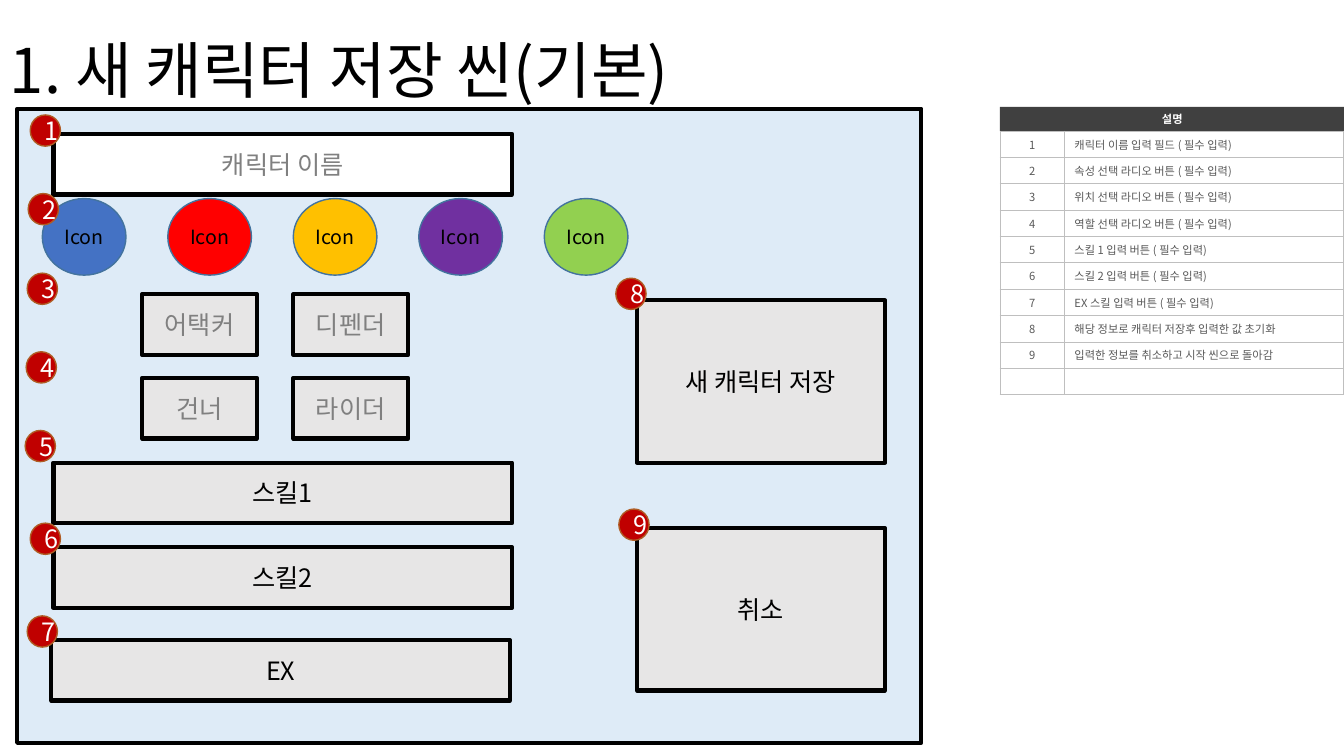
from dataclasses import dataclass
from itertools import product
from typing import Any, Optional

from lxml.etree import SubElement
from pptx import Presentation
from pptx.dml.color import RGBColor
from pptx.enum.shapes import MSO_SHAPE
from pptx.enum.text import MSO_ANCHOR, PP_ALIGN
from pptx.oxml.ns import qn
from pptx.util import Emu, Inches, Pt

# The slide is a grid of 160 columns by 90 rows of square cells.
CELL = Inches(13.333) / 160


@dataclass(frozen=True)
class Theme:
    """Colours and type sizes of the slide."""
    font: str = "Noto Sans CJK KR"
    black: str = "000000"
    white: str = "FFFFFF"
    panel: str = "DEEBF7"
    button: str = "E7E6E6"
    hint: str = "808080"
    badge: str = "C00000"
    badge_edge: str = "AF5C24"
    icon_edge: str = "43739E"
    header: str = "404040"
    note: str = "595959"
    grid: str = "BFBFBF"
    icons: tuple[str, ...] = ("4472C4", "FF0000", "FFC000", "7030A0", "92D050")
    title_size: int = 44
    body_size: int = 18
    icon_size: int = 14
    note_size: int = 8


@dataclass(frozen=True)
class Box:
    """Place in grid columns and rows."""
    left: float
    top: float
    width: float
    height: float

    def lengths(self) -> list[Emu]:
        """Return the place as slide lengths."""
        return [Emu(round(value * CELL))
                for value in (self.left, self.top, self.width, self.height)]


@dataclass(frozen=True)
class Style:
    """Look of one kind of shape."""
    fill: str
    edge: Optional[str]
    edge_width: float
    color: str
    size: int
    bold: bool = False
    geometry: MSO_SHAPE = MSO_SHAPE.RECTANGLE


THEME = Theme()
PANEL = Style(THEME.panel, THEME.black, 3, THEME.black, THEME.body_size)
BUTTON = Style(THEME.button, THEME.black, 3, THEME.black, THEME.body_size)
ROLE = Style(THEME.button, THEME.black, 3, THEME.hint, THEME.body_size)
NAME_FIELD = Style(THEME.white, THEME.black, 3, THEME.hint, THEME.body_size)
HEADER = Style(THEME.header, None, 0, THEME.white, THEME.note_size, True)
BADGE = Style(THEME.badge, THEME.badge_edge, 1, THEME.white, THEME.body_size,
              geometry=MSO_SHAPE.OVAL)

FIELDS = (
    ("캐릭터 이름", 6.36, 15.96, NAME_FIELD),
    ("스킬1", 6.36, 55.08, BUTTON),
    ("스킬2", 6.36, 65.16, BUTTON),
    ("EX", 6.12, 76.2, BUTTON),
)
ROLES = ("어택커", "디펜더", "건너", "라이더")
ACTIONS = (("새 캐릭터 저장", 35.76), ("취소", 62.88))
BADGES = ((3.6, 13.68), (3.36, 23.04), (3.24, 32.52), (3.12, 41.88), (3, 51.24),
          (3.6, 62.28), (3.24, 73.32), (73.32, 33.12), (73.68, 60.6))
REQUIRED = " ( 필수 입력)"
NOTES = (
    *(name + REQUIRED for name in (
        "캐릭터 이름 입력 필드", "속성 선택 라디오 버튼", "위치 선택 라디오 버튼",
        "역할 선택 라디오 버튼", "스킬 1 입력 버튼", "스킬 2 입력 버튼",
        "EX 스킬 입력 버튼")),
    "해당 정보로 캐릭터 저장후 입력한 값 초기화",
    "입력한 정보를 취소하고 시작 씬으로 돌아감",
    "",
)


def set_all(target: Any, values: dict[str, Any]) -> None:
    """Set each named attribute of the target."""
    for name, value in values.items():
        setattr(target, name, value)


def write(frame: Any, text: str, size: int, color: str, bold: bool = False,
          align: PP_ALIGN = PP_ALIGN.CENTER) -> None:
    """Write one formatted paragraph into a text frame."""
    paragraph = frame.paragraphs[0]
    paragraph.alignment = align
    if not text:
        SubElement(paragraph._p, qn("a:endParaRPr"), sz=str(size * 100))
        return
    run = paragraph.add_run()
    run.text = text
    set_all(run.font, {"name": THEME.font, "size": Pt(size), "bold": bold})
    run.font.color.rgb = RGBColor.from_string(color)
    SubElement(run.font._element, qn("a:ea"), typeface=THEME.font)


def add_box(slide: Any, box: Box, style: Style, text: str = "") -> Any:
    """Draw a filled shape with centred text."""
    shape = slide.shapes.add_shape(style.geometry, *box.lengths())
    shape.shadow.inherit = False
    shape.fill.solid()
    shape.fill.fore_color.rgb = RGBColor.from_string(style.fill)
    if style.edge:
        shape.line.color.rgb = RGBColor.from_string(style.edge)
        shape.line.width = Pt(style.edge_width)
    else:
        shape.line.fill.background()
    shape.text_frame.vertical_anchor = MSO_ANCHOR.MIDDLE
    if text:
        write(shape.text_frame, text, style.size, style.color, style.bold)
    return shape


def add_title(slide: Any, text: str) -> None:
    """Draw the slide title."""
    frame = slide.shapes.add_textbox(*Box(0, 0, 138, 17.4).lengths()).text_frame
    set_all(frame, {"word_wrap": True, "vertical_anchor": MSO_ANCHOR.MIDDLE})
    write(frame, text, THEME.title_size, THEME.black, align=PP_ALIGN.LEFT)
    frame.paragraphs[0].line_spacing = 0.9


def add_borders(cell: Any) -> None:
    """Give a table cell thin lines on its four sides."""
    properties = cell._tc.get_or_add_tcPr()
    for side in ("lnL", "lnR", "lnT", "lnB"):
        line = SubElement(properties, qn(f"a:{side}"), w=str(Pt(0.5)))
        fill = SubElement(line, qn("a:solidFill"))
        SubElement(fill, qn("a:srgbClr"), val=THEME.grid)


def add_notes_table(slide: Any) -> None:
    """Draw the numbered descriptions under their header."""
    header = add_box(slide, Box(119.04, 12.72, 41.04, 2.88), HEADER, "설명")
    header.text_frame.word_wrap = False
    row_height, widths = 3.14, (7.68, 33.24)
    box = Box(119.04, 15.6, sum(widths), row_height * len(NOTES))
    table = slide.shapes.add_table(len(NOTES), 2, *box.lengths()).table
    set_all(table, {"first_row": False, "horz_banding": False})
    for column, width in zip(table.columns, widths):
        column.width = Emu(round(width * CELL))
    for index, note in enumerate(NOTES):
        number = str(index + 1) if note else ""
        entries = ((number, PP_ALIGN.CENTER), (note, PP_ALIGN.LEFT))
        for column, (text, align) in enumerate(entries):
            cell = table.cell(index, column)
            add_borders(cell)
            cell.fill.background()
            cell.vertical_anchor = MSO_ANCHOR.MIDDLE
            write(cell.text_frame, text, THEME.note_size, THEME.note, align=align)


def add_scene(slide: Any) -> None:
    """Draw the character form with its fields, buttons and badges."""
    add_box(slide, Box(2.04, 12.96, 107.64, 75.48), PANEL)
    for text, left, top, style in FIELDS:
        add_box(slide, Box(left, top, 54.6, 7.2), style, text)
    for index, color in enumerate(THEME.icons):
        style = Style(color, THEME.icon_edge, 1, THEME.black, THEME.icon_size,
                      geometry=MSO_SHAPE.OVAL)
        add_box(slide, Box(5.04 + 14.94 * index, 23.64, 9.96, 9.12), style, "Icon")
    for text, (row, column) in zip(ROLES, product(range(2), repeat=2)):
        box = Box(16.92 + 18 * column, 35.04 + 9.96 * row, 13.68, 7.2)
        add_box(slide, box, ROLE, text)
    for text, top in ACTIONS:
        add_box(slide, Box(75.84, top, 29.52, 19.32), BUTTON, text)
    for number, (left, top) in enumerate(BADGES, start=1):
        add_box(slide, Box(left, top, 3.6, 3.72), BADGE, str(number))


presentation = Presentation()
set_all(presentation, {"slide_width": Inches(13.333), "slide_height": Inches(7.5)})
slide = presentation.slides.add_slide(presentation.slide_layouts[6])
add_title(slide, "1. 새 캐릭터 저장 씬(기본)")
add_scene(slide)
add_notes_table(slide)
presentation.save("out.pptx")
